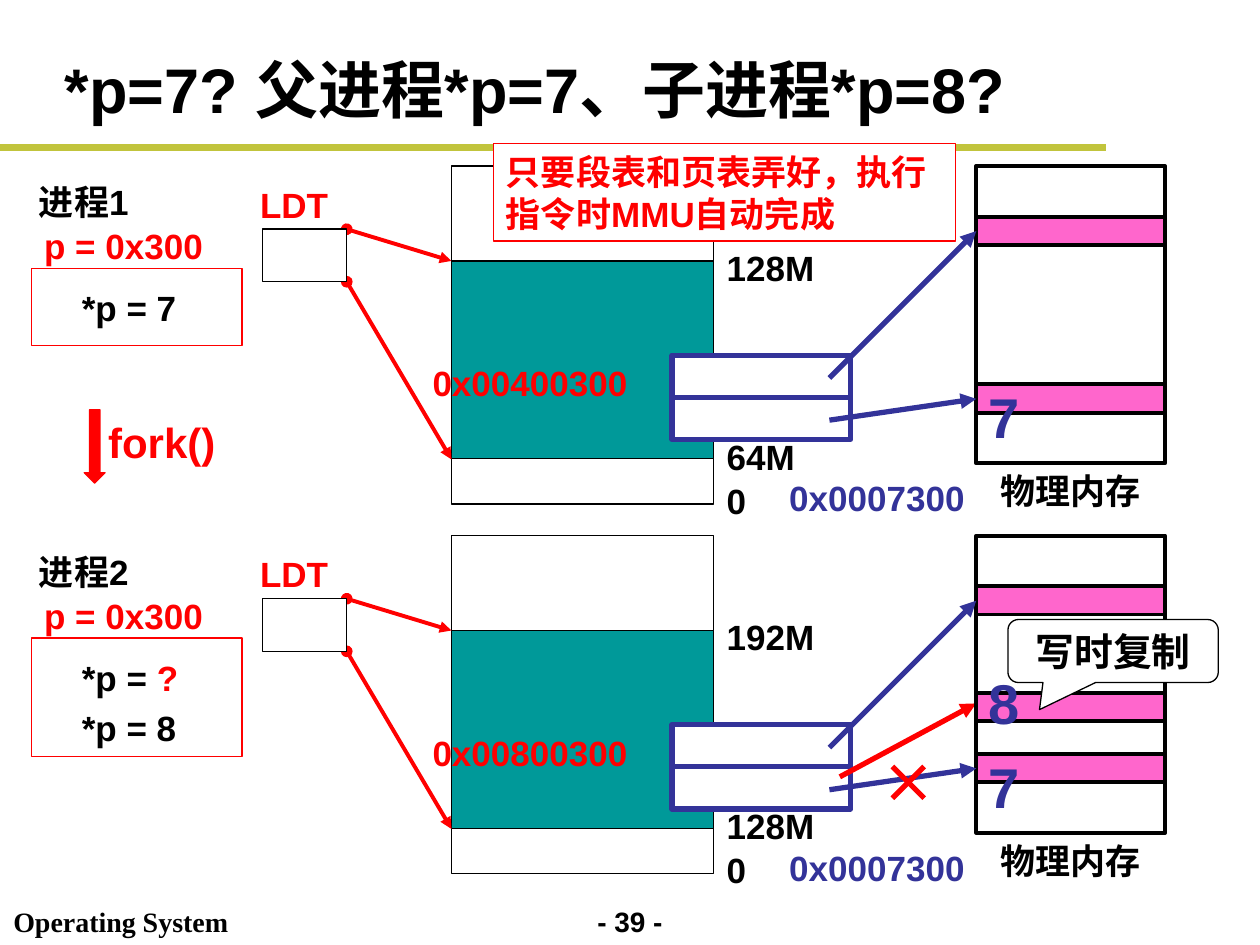
from lxml.etree import SubElement
from pptx import Presentation
from pptx.dml.color import RGBColor
from pptx.enum.shapes import MSO_CONNECTOR, MSO_SHAPE
from pptx.enum.text import MSO_ANCHOR, PP_ALIGN
from pptx.oxml.ns import qn
from pptx.util import Cm, Pt

BLACK = RGBColor(0x00, 0x00, 0x00)
WHITE = RGBColor(0xFF, 0xFF, 0xFF)
RED = RGBColor(0xFF, 0x00, 0x00)
TEAL = RGBColor(0x00, 0x99, 0x99)
PINK = RGBColor(0xFF, 0x66, 0xCC)
NAVY = RGBColor(0x33, 0x33, 0x99)
OLIVE = RGBColor(0xC1, 0xC4, 0x3C)

# All positions and sizes are in centimetres.
TITLE = "*p=7? 父进程*p=7、子进程*p=8?"
NOTE = "只要段表和页表弄好，执行指令时MMU自动完成"
PROCESSES = [
    dict(top=3.35, name="进程1", segment_top="128M", segment_base="64M",
         address="0x00400300", code_height=1.55,
         code=[[("*p = 7", BLACK)]]),
    dict(top=10.8, name="进程2", segment_top="192M", segment_base="128M",
         address="0x00800300", code_height=2.39,
         code=[[("*p = ", BLACK), ("?", RED)], [("*p = 8", BLACK)]]),
]

LDT_RIGHT, SPACE_LEFT, SPACE_WIDTH = 6.99, 9.1, 5.29
LABEL_LEFT, LABEL_HEIGHT = 14.4, 1.12
MEMORY_LEFT, MEMORY_WIDTH, PAGE_HEIGHT = 19.68, 3.81, 0.57
ENTRY_HEIGHT = 0.85

presentation = Presentation()
presentation.slide_width, presentation.slide_height = Cm(25.4), Cm(19.05)
slide = presentation.slides.add_slide(presentation.slide_layouts[5])


def write(frame, text, size=20, color=BLACK, align=PP_ALIGN.LEFT, font="Arial",
          wrap=True, anchor=MSO_ANCHOR.TOP, spacing=None):
    """Text is a string, or a list of paragraphs made of (text, colour) runs."""
    frame.word_wrap, frame.vertical_anchor = wrap, anchor
    frame.margin_left = frame.margin_right = Cm(0.25)
    frame.margin_top = frame.margin_bottom = Cm(0.13)
    paragraphs = [[(text, color)]] if isinstance(text, str) else text
    for index, runs in enumerate(paragraphs):
        paragraph = frame.add_paragraph() if index else frame.paragraphs[0]
        paragraph.alignment = align
        if spacing:
            paragraph.line_spacing = spacing
        for words, run_color in runs:
            run = paragraph.add_run()
            run.text = words
            run.font.name, run.font.size, run.font.bold = font, Pt(size), True
            run.font.color.rgb = run_color


def label(text, left, top, width, height=LABEL_HEIGHT, **style):
    box = slide.shapes.add_textbox(Cm(left), Cm(top), Cm(width), Cm(height))
    write(box.text_frame, text, **style)


def block(left, top, width, height, fill=WHITE, line=BLACK, weight=0.75,
          kind=MSO_SHAPE.RECTANGLE):
    shape = slide.shapes.add_shape(kind, Cm(left), Cm(top), Cm(width), Cm(height))
    shape.shadow.inherit = False
    if fill is None:
        shape.fill.background()
    else:
        shape.fill.solid()
        shape.fill.fore_color.rgb = fill
    shape.line.color.rgb, shape.line.width = line, Pt(weight)
    return shape


def connect(start, end, color, weight=3, head=None, tail=None):
    connector = slide.shapes.add_connector(
        MSO_CONNECTOR.STRAIGHT, *(Cm(value) for value in (*start, *end)))
    connector.line.color.rgb, connector.line.width = color, Pt(weight)
    properties = connector._element.spPr
    outline = properties.find(qn("a:ln"))
    for tag, ending in (("a:headEnd", head), ("a:tailEnd", tail)):
        if ending:
            SubElement(outline, qn(tag), type=ending)
    SubElement(properties, qn("a:effectLst"))


def page(top):
    block(MEMORY_LEFT, top, MEMORY_WIDTH, PAGE_HEIGHT, fill=PINK, weight=2.25)


def value(text, top):
    label(text, MEMORY_LEFT, top, 2.12, 1.63, size=32, color=NAVY)


def draw_process(process):
    top = process["top"]
    # Virtual address space and the segment that the LDT describes
    block(SPACE_LEFT, top, SPACE_WIDTH, 6.81)
    block(SPACE_LEFT, top + 1.91, SPACE_WIDTH, 3.99, fill=TEAL)
    for text, offset in ((process["segment_top"], 1.48),
                         (process["segment_base"], 5.29), ("0", 6.18)):
        label(text, LABEL_LEFT, top + offset, 2.6)
    for start, end in ((1.27, 1.91), (2.33, 5.91)):
        connect((LDT_RIGHT, top + start), (SPACE_LEFT, top + end), RED, 2.25,
                head="oval", tail="triangle")
    block(LDT_RIGHT - 1.7, top + 1.27, 1.7, 1.06)
    label("LDT", 4.24, top + 0.21, 3.38, color=RED, align=PP_ALIGN.CENTER)

    # Process name, pointer and code
    label(process["name"], 0, top + 0.16, 3.38, align=PP_ALIGN.CENTER)
    block(0.64, top + 2.06, 4.24, process["code_height"], line=RED)
    label(process["code"], 1.4, top + 2.13, 2.46, process["code_height"] - 0.2,
          spacing=1.2)
    label("p = 0x300", 0.64, top + 1.05, 5.29, color=RED)

    # Physical memory
    block(MEMORY_LEFT, top, MEMORY_WIDTH, 5.99, fill=None, weight=2.25)
    for offset in (1.02, 4.4):
        page(top + offset)
    label("物理内存", MEMORY_LEFT, top + 5.99, MEMORY_WIDTH, align=PP_ALIGN.CENTER)

    # Page table, lower entry first
    for row in (1, 0):
        block(13.55, top + 3.81 + row * ENTRY_HEIGHT, 3.6, ENTRY_HEIGHT,
              line=NAVY, weight=3)
    for start, end in ((5.12, 4.69), (4.27, 1.31)):
        connect((16.72, top + start), (MEMORY_LEFT, top + end), NAVY, tail="triangle")
    label(process["address"], 8.47, top + 3.81, 5.5, color=RED)
    label("0x0007300", 15.66, top + 6.13, 5.5, color=NAVY)
    value("7", top + 4.24)


def draw_frame():
    label("- 39 -", 11.43, 18.11, 2.54, size=16, align=PP_ALIGN.CENTER)
    label("Operating System", 0.02, 18.11, 5.5, 0.94, size=16,
          font="Times New Roman")
    connect((0, 2.97), (22.3, 2.97), OLIVE, 4)
    title = slide.shapes.title
    title.left, title.top, title.width, title.height = Cm(1.06), Cm(0.85), Cm(22.86), Cm(1.88)
    write(title.text_frame, TITLE, size=36, anchor=MSO_ANCHOR.MIDDLE)


def draw_fork():
    block(1.7, 8.26, 0.42, 1.48, fill=RED, line=RED, kind=MSO_SHAPE.DOWN_ARROW)
    label("fork()", 1.93, 8.26, 2.67, 1.27, size=24, color=RED, wrap=False)


def draw_copy_on_write():
    connect((16.93, 15.66), (MEMORY_LEFT, 14.18), RED, tail="triangle")
    page(13.97)
    value("8", 13.34)
    callout = block(20.32, 12.49, 4.24, 1.27,
                    kind=MSO_SHAPE.ROUNDED_RECTANGULAR_CALLOUT)
    callout.adjustments[0], callout.adjustments[1] = -0.35, 0.93
    write(callout.text_frame, "写时复制", size=22.2, align=PP_ALIGN.CENTER,
          anchor=MSO_ANCHOR.MIDDLE)
    left, top, right, bottom = 17.99, 15.45, 18.63, 16.09
    connect((left, bottom), (right, top), RED)
    connect((right, bottom), (left, top), RED)


draw_frame()
for process in PROCESSES:
    draw_process(process)
draw_fork()
draw_copy_on_write()
note = block(9.95, 2.9, 9.31, 1.96, line=RED)
write(note.text_frame, NOTE, color=RED)

presentation.save("out.pptx")
